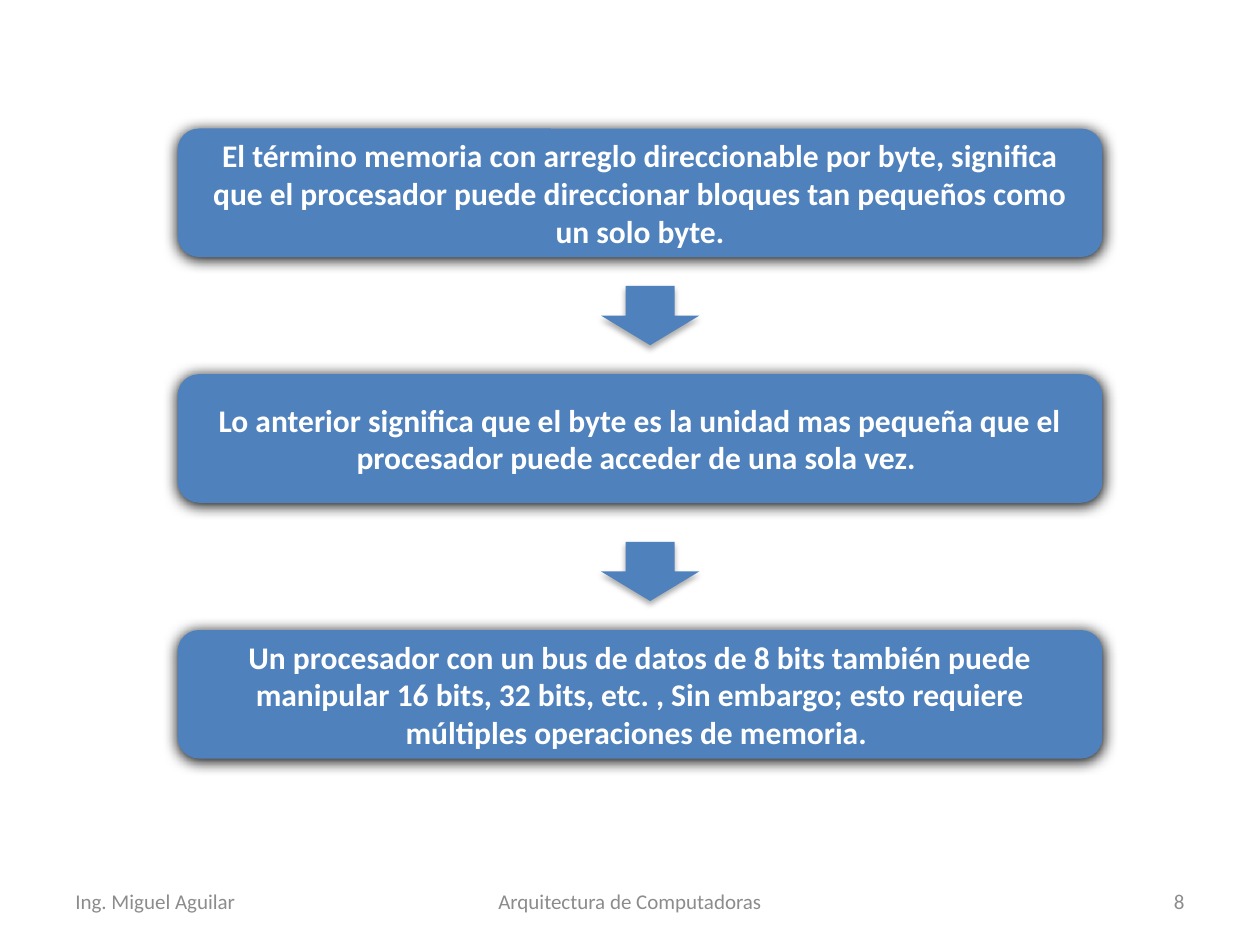
import pptx
import pptx.util
import pptx.dml.color
import pptx.enum.shapes
import pptx.enum.text
import pptx.oxml

Pt = pptx.util.Pt
RGBColor = pptx.dml.color.RGBColor
Shape = pptx.enum.shapes.MSO_SHAPE
Align = pptx.enum.text.PP_ALIGN

BLUE = RGBColor(0x4F, 0x81, 0xBD)
WHITE = RGBColor(0xFF, 0xFF, 0xFF)
GRAY = RGBColor(0x8C, 0x8C, 0x8C)

STEPS = [
    (13.6, "El término memoria con arreglo direccionable por byte, significa que el procesador "
           "puede direccionar bloques tan pequeños como un solo byte."),
    (39.6, "Lo anterior significa que el byte es la unidad mas pequeña que el procesador "
           "puede acceder de una sola vez. "),
    (66.67, "Un procesador con un bus de datos de 8 bits también puede manipular 16 bits, "
            "32 bits, etc. , Sin embargo; esto requiere múltiples operaciones de memoria. "),
]
FOOTER = [
    (5, 23.33, Align.LEFT, "Ing. Miguel Aguilar"),
    (34.17, 31.67, Align.CENTER, "Arquitectura de Computadoras"),
    (71.67, 23.33, Align.RIGHT, "8"),
]
BOX_GLOW = {"alpha": 100, "blur": 8.5, "dist": 1}
ARROW_GLOW = {"alpha": 32, "blur": 3.5, "dist": 2.2}
ARROW_RISE = 9.33

deck = pptx.Presentation()
deck.slide_width = pptx.util.Inches(10)
deck.slide_height = pptx.util.Inches(7.5)
slide = deck.slides.add_slide(deck.slide_layouts[6])


def place(left, top, width, height):
    col, row = deck.slide_width / 100, deck.slide_height / 100
    return [round(n) for n in (left * col, top * row, width * col, height * row)]


def write(shape, text, size=18, color=WHITE, bold=False, align=Align.CENTER):
    frame = shape.text_frame
    frame.word_wrap = True
    frame.vertical_anchor = pptx.enum.text.MSO_ANCHOR.MIDDLE
    para = frame.paragraphs[0]
    para.alignment = align
    run = para.add_run()
    run.text = text
    font = run.font
    font.name, font.size, font.bold = "Calibri", Pt(size), bold
    font.color.rgb = color


def shade(shape, alpha, blur, dist):
    shape.shadow.inherit = False
    effects = shape.element.spPr.find(pptx.oxml.ns.qn("a:effectLst"))
    effects.append(pptx.oxml.parse_xml(
        f'<a:outerShdw {pptx.oxml.ns.nsdecls("a")} blurRad="{Pt(blur)}" dist="{Pt(dist)}" '
        f'dir="5400000" rotWithShape="0"><a:srgbClr val="000000">'
        f'<a:alpha val="{alpha * 1000}"/></a:srgbClr></a:outerShdw>'))


def draw(kind, spot, glow):
    shape = slide.shapes.add_shape(kind, *place(*spot))
    shape.fill.solid()
    shape.fill.fore_color.rgb = BLUE
    shape.line.fill.background()
    shade(shape, **glow)
    return shape


for left, width, align, text in FOOTER:
    label = slide.shapes.add_textbox(*place(left, 92.67, width, 5.33))
    write(label, text, size=12, color=GRAY, align=align)

for index, (top, text) in enumerate(STEPS):
    box = draw(Shape.ROUNDED_RECTANGLE, (14.1, top, 73.4, 13.6), BOX_GLOW)
    write(box, text, bold=True)
    if index:
        draw(Shape.DOWN_ARROW, (47.7, top - ARROW_RISE, 7.8, 6.27), ARROW_GLOW)

deck.save("out.pptx")
